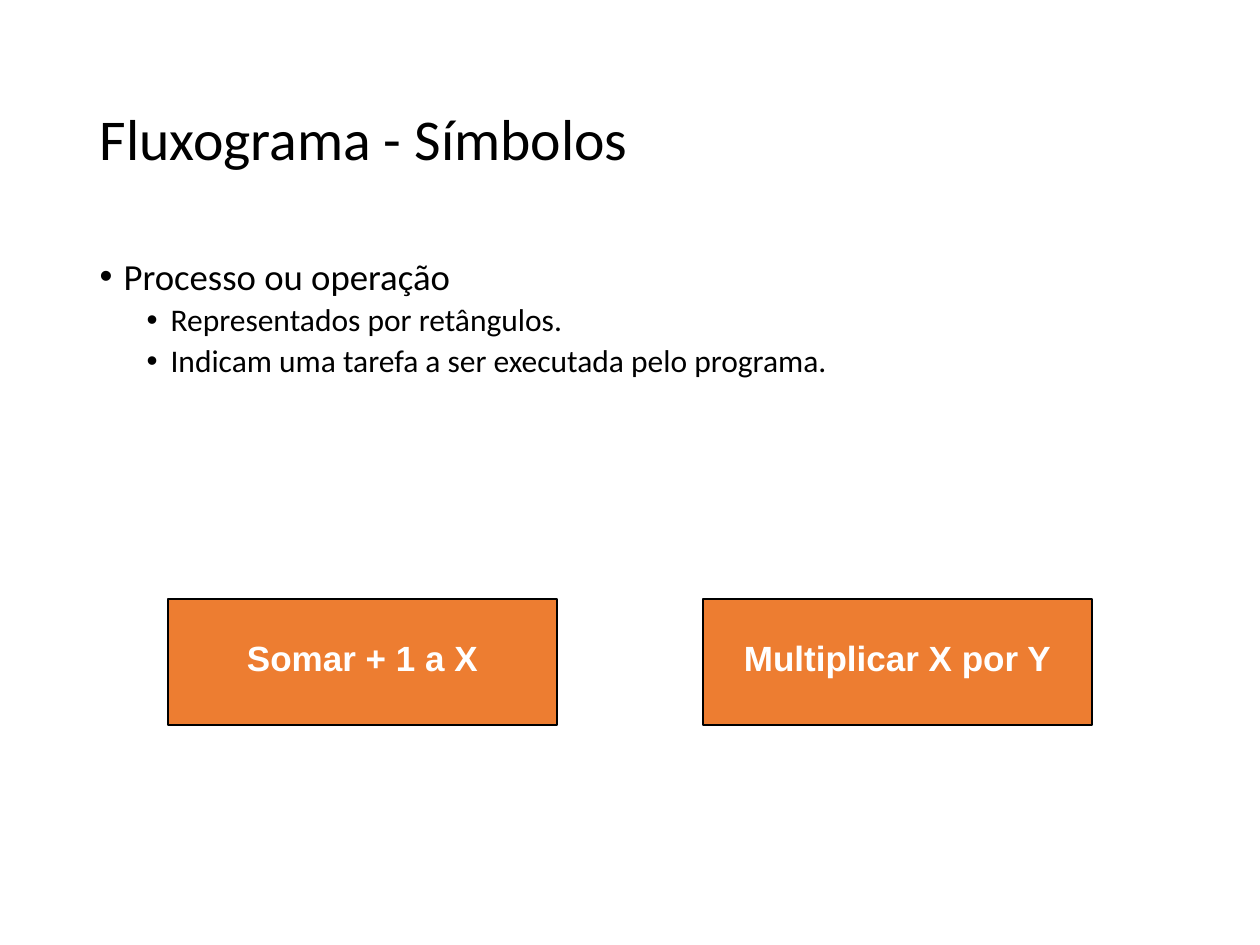
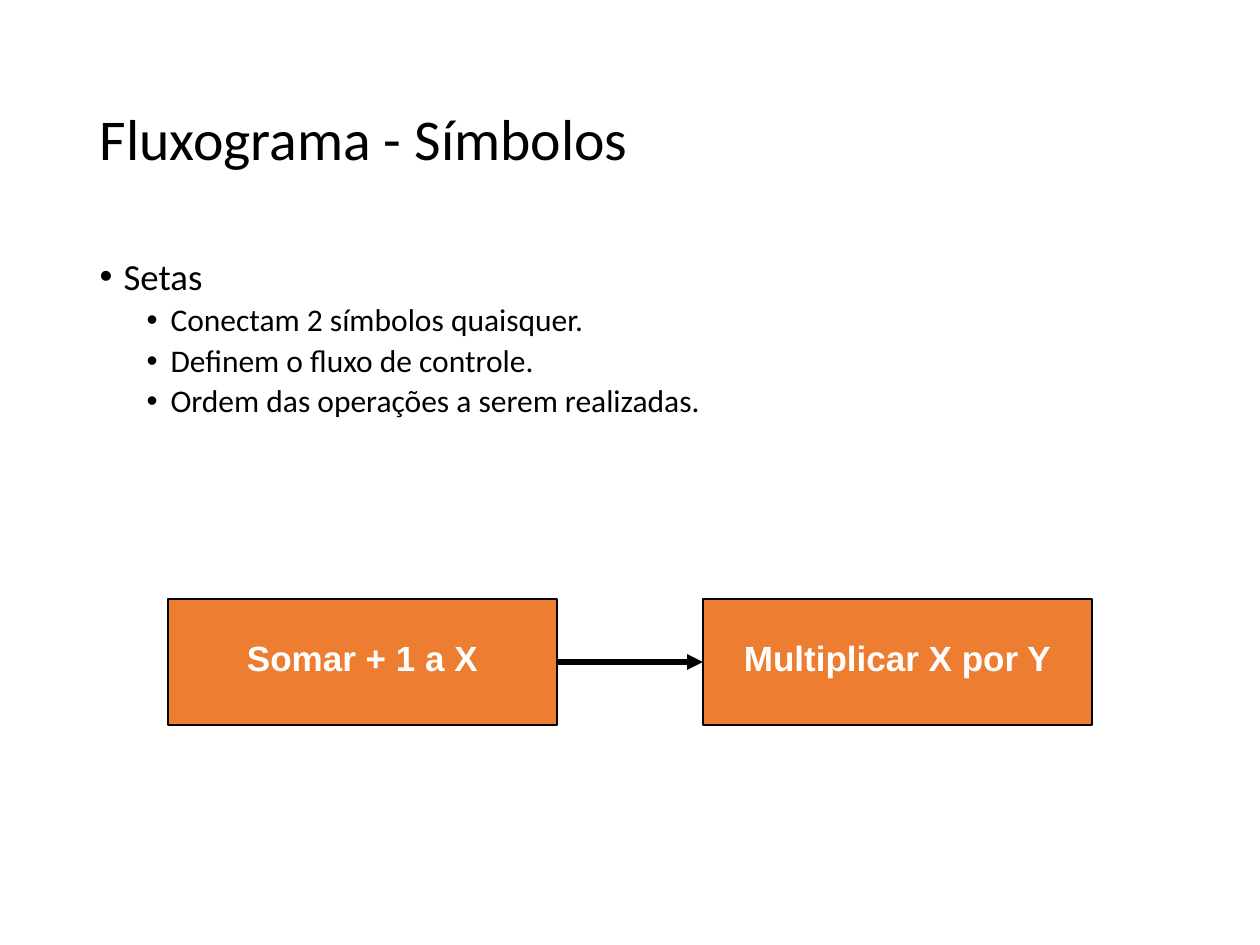
from lxml import etree
from pptx import Presentation, util as u
from pptx.dml.color import RGBColor
from pptx.enum import shapes, text
from pptx.oxml.ns import qn

TITLE = "Fluxograma - Símbolos"
OPERATIONS = [("Somar + 1 a X", 325), ("Multiplicar X por Y", 347)]  # label, label width
SLIDES = [
    {"topic": "Processo ou operação",
     "details": ["Representados por retângulos.",
                 "Indicam uma tarefa a ser executada pelo programa."],
     "arrows": False},
    {"topic": "Setas",
     "details": ["Conectam 2 símbolos quaisquer.",
                 "Definem o fluxo de controle.",
                 "Ordem das operações a serem realizadas."],
     "arrows": True},
]

BLACK = RGBColor(0x00, 0x00, 0x00)
WHITE = RGBColor(0xFF, 0xFF, 0xFF)
ORANGE = RGBColor(0xED, 0x7D, 0x31)

TITLE_FONT = {"name": "Calibri", "size": u.Pt(33)}
LABEL_FONT = {"name": "Arial", "size": u.Pt(20), "bold": True}
LEVELS = [  # topic, detail
    {"font": {"name": "Calibri", "size": u.Pt(21)}, "before": 7.5, "indent": 24},
    {"font": {"name": "Calibri", "size": u.Pt(18)}, "before": 3.75, "indent": 71},
]
HANGING = 24

# Lengths in px, 126 to the inch
PX = 914400 / 126
SLIDE_SIZE = 1260, 945
TITLE_BOX = 87, 50, 1086, 183
BODY_BOX = 87, 252, 1086, 600
ROW_LEFT, ROW_TOP = 168, 599
BOX_WIDTH, BOX_HEIGHT, BOX_GAP = 389, 126, 146
LABEL_TOP, LABEL_HEIGHT = 630, 54


def emu(px):
    return u.Emu(round(px * PX))


def place(shape, box):
    for side, px in zip(("left", "top", "width", "height"), box):
        setattr(shape, side, emu(px))


def style(font, formats, color):
    for attribute, value in formats.items():
        setattr(font, attribute, value)
    font.color.rgb = color


def add_bullet(paragraph, indent):
    properties = paragraph._p.get_or_add_pPr()
    properties.set("marL", str(emu(indent)))
    properties.set("indent", str(emu(-HANGING)))
    etree.SubElement(properties, qn("a:buFont"), typeface="Arial")
    etree.SubElement(properties, qn("a:buChar"), char="•")


def fill_title(title):
    place(title, TITLE_BOX)
    frame = title.text_frame
    frame.text = TITLE
    frame.auto_size = text.MSO_AUTO_SIZE.NONE
    frame.vertical_anchor = text.MSO_ANCHOR.MIDDLE
    heading = frame.paragraphs[0]
    heading.alignment = text.PP_ALIGN.LEFT
    heading.line_spacing = 0.9
    style(heading.runs[0].font, TITLE_FONT, BLACK)


def fill_body(body, topic, details):
    place(body, BODY_BOX)
    frame = body.text_frame
    frame.text = "\n".join([topic, *details])
    frame.auto_size = text.MSO_AUTO_SIZE.NONE
    for index, paragraph in enumerate(frame.paragraphs):
        paragraph.level = min(index, 1)
        level = LEVELS[paragraph.level]
        paragraph.line_spacing = 0.9
        paragraph.space_before = u.Pt(level["before"])
        add_bullet(paragraph, level["indent"])
        style(paragraph.runs[0].font, level["font"], BLACK)


def add_operation(slide, left, label, label_width):
    box = slide.shapes.add_shape(
        shapes.MSO_SHAPE.RECTANGLE,
        *map(emu, (left, ROW_TOP, BOX_WIDTH, BOX_HEIGHT)))
    box.shadow.inherit = False
    box.fill.solid()
    box.fill.fore_color.rgb = ORANGE
    box.line.color.rgb = BLACK
    box.line.width = u.Pt(0.75)

    label_left = left + (BOX_WIDTH - label_width) / 2
    caption = slide.shapes.add_textbox(
        *map(emu, (label_left, LABEL_TOP, label_width, LABEL_HEIGHT)))
    frame = caption.text_frame
    frame.text = label
    frame.word_wrap = True
    frame.auto_size = text.MSO_AUTO_SIZE.SHAPE_TO_FIT_TEXT
    frame.paragraphs[0].alignment = text.PP_ALIGN.CENTER
    style(frame.paragraphs[0].runs[0].font, LABEL_FONT, WHITE)
    return box


def add_arrow(slide, source, target):
    arrow = slide.shapes.add_connector(shapes.MSO_CONNECTOR.STRAIGHT, 0, 0, 0, 0)
    arrow.begin_connect(source, 3)  # right side
    arrow.end_connect(target, 1)  # left side
    arrow.line.color.rgb = BLACK
    arrow.line.width = u.Pt(3)
    etree.SubElement(arrow.line._get_or_add_ln(), qn("a:tailEnd"), type="triangle")
    etree.SubElement(arrow._element.spPr, qn("a:effectLst"))


def main():
    deck = Presentation()
    deck.slide_width, deck.slide_height = map(emu, SLIDE_SIZE)
    for content in SLIDES:
        slide = deck.slides.add_slide(deck.slide_layouts[1])
        fill_title(slide.shapes.title)
        fill_body(slide.placeholders[1], content["topic"], content["details"])
        boxes = [
            add_operation(slide, ROW_LEFT + i * (BOX_WIDTH + BOX_GAP), label, width)
            for i, (label, width) in enumerate(OPERATIONS)]
        if content["arrows"]:
            for source, target in zip(boxes, boxes[1:]):
                add_arrow(slide, source, target)
    deck.save("out.pptx")


if __name__ == "__main__":
    main()
